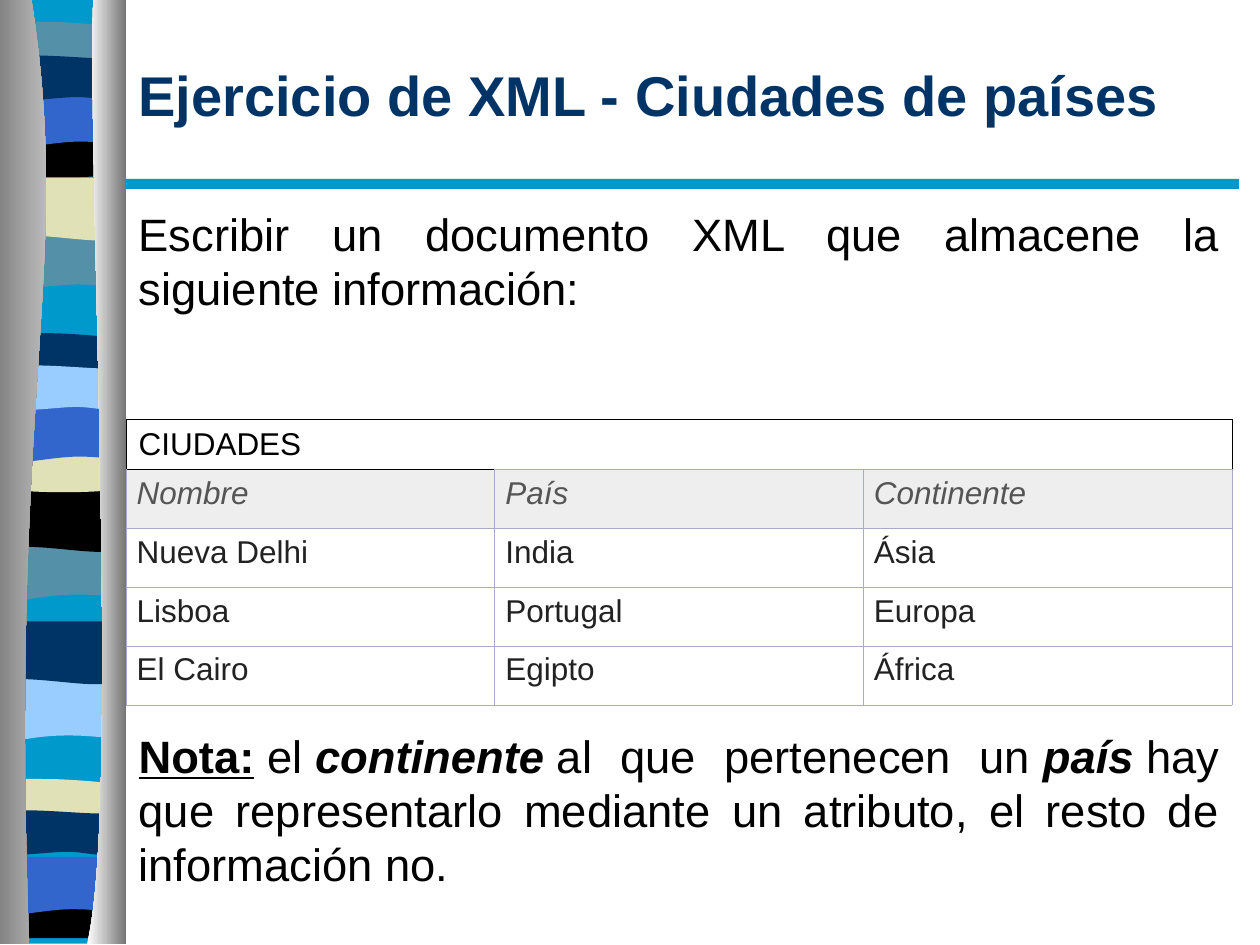
"""Build the XML exercise slide about cities and countries."""
from itertools import islice

from lxml.etree import SubElement
from pptx import Presentation
from pptx.dml.color import RGBColor
from pptx.enum.shapes import MSO_SHAPE
from pptx.enum.text import MSO_ANCHOR, MSO_AUTO_SIZE, PP_ALIGN
from pptx.oxml.ns import qn
from pptx.util import Pt

COLORS = {
    "sky": "0099CC", "steel": "5490A8", "sand": "E1E1B7", "black": "000000",
    "blue": "3366CC", "navy": "003366", "pale": "99CCFF", "gray": "767676",
    "silver": "DCDCDC", "white": "FFFFFF", "border": "AAAACC",
    "heading_fill": "EEEEEE", "heading_text": "555555", "cell_text": "222222",
}
OUTLINES = {
    "dip": [(68, 0), (68, 34), (21, 28, 12, 40, 0, 34), (0, 0)],
    "rise": [(68, 0), (68, 34), (57, 40, 21, 30, 0, 34), (0, 0)],
    "hump": [(68, 4), (68, 21), (57, 24, 12, 24, 0, 21), (0, 4),
             (4, 0, 15, 1, 27, 1), (38, 1, 60, 3, 68, 4)],
    "sag": [(68, 0), (68, 24), (57, 27, 12, 27, 0, 24), (0, 0),
            (42, 4, 54, 0, 68, 0)],
    "slab": [(68, 0), (68, 27), (0, 27), (0, 0), (42, 4, 54, 0, 68, 0)],
    "arch": [(68, 0), (68, 34), (58, 30, 53, 30, 42, 30),
             (31, 30, 11, 34, 0, 34), (0, 0)],
    "swell": [(68, 4), (68, 26), (64, 30, 54, 26, 42, 26),
              (31, 26, 7, 30, 0, 26), (0, 4), (10, 0, 47, 4, 58, 4), (68, 4)],
    "left_drape": [(18, 0), (42, 156, 5, 213, 16.6, 539.3), (-6.5, 539.3), (-7, 0)],
    "right_drape": [(53.3, 0), (49.7, 90, 69, 465, 49.7, 539.3), (72, 539.3), (72, 0)],
}
BANDS = [
    ("dip", 2, 130.3, "steel"), ("rise", 2, 101.5, "sand"),
    ("hump", 2, 11.5, "steel"), ("sag", 2, 75, "black"),
    ("arch", 2, 51, "blue"), ("swell", 2, 29.5, "navy"),
    ("dip", 1.5, 307.5, "steel"), ("rise", 1.5, 279.4, "black"),
    ("hump", 1.5, 189.4, "navy"), ("sag", 2, 255, "sand"),
    ("arch", 1.5, 231, "blue"), ("swell", 1.5, 206.6, "pale"),
    ("dip", -4, 388, "pale"), ("rise", -1.5, 355, "navy"),
    ("hump", 1.5, 444.2, "sand"), ("slab", -2, 509, "black"),
    ("arch", -2, 489.6, "blue"), ("swell", -4, 460.8, "navy"),
]
ROWS = [
    ["Nombre", "País", "Continente"],
    ["Nueva Delhi", "India", "Ásia"],
    ["Lisboa", "Portugal", "Europa"],
    ["El Cairo", "Egipto", "África"],
]
HARD_SPACE = chr(160)
INTRO = [("Escribir un documento XML que almacene la siguiente información:", {})]
STRONG = {"bold": True, "italic": True}
NOTE = [
    ("Nota:", {"bold": True, "underline": True}),
    (f"{HARD_SPACE}el{HARD_SPACE}", {}),
    ("continente", STRONG),
    (f"{HARD_SPACE}al que pertenecen un{HARD_SPACE}", {}),
    ("país", STRONG),
    (f"{HARD_SPACE}hay que representarlo mediante un atributo, "
     "el resto de información no.", {}),
]


def color(name):
    """Return the named colour."""
    return RGBColor.from_string(COLORS[name])


def set_values(target, values):
    """Set each named attribute of the target."""
    for name, value in values.items():
        setattr(target, name, value)


def add_run(paragraph, text, size, color_name, **values):
    """Add a run of Arial text."""
    run = paragraph.add_run()
    run.text = text
    set_values(run.font, {"name": "Arial", "size": Pt(size), **values})
    run.font.color.rgb = color(color_name)


def place(shape, box):
    """Move a shape to its box."""
    names = ("left", "top", "width", "height")
    set_values(shape, {name: Pt(value) for name, value in zip(names, box)})


def bend(shape, segments):
    """Turn each three-point segment of the outline into a cubic curve."""
    outline = shape._element.find(".//" + qn("a:path"))
    lines = iter(outline.findall(qn("a:lnTo")))
    for segment in segments:
        group = list(islice(lines, len(segment) // 2))
        if len(group) == 3:
            curve = SubElement(outline, qn("a:cubicBezTo"))
            group[0].addprevious(curve)
            for line in group:
                curve.append(line[0])
                outline.remove(line)


def add_outline(slide, name, left, top):
    """Add a closed outline without a line, offset to its place."""
    segments = OUTLINES[name]
    points = [(Pt(left + x), Pt(top + y)) for segment in segments
              for x, y in zip(segment[::2], segment[1::2])]
    builder = slide.shapes.build_freeform(*points[0], scale=1.0)
    builder.add_line_segments(points[1:], close=True)
    shape = builder.convert_to_shape()
    bend(shape, segments[1:])
    shape.shadow.inherit = False
    shape.line.fill.background()
    return shape


def add_bar(slide, box):
    """Add a plain sky-blue rectangle."""
    shape = slide.shapes.add_shape(MSO_SHAPE.RECTANGLE, *map(Pt, box))
    shape.shadow.inherit = False
    shape.fill.solid()
    shape.fill.fore_color.rgb = color("sky")
    shape.line.fill.background()


def add_ribbon(slide, box):
    """Add the striped ribbon between two shaded drapes."""
    left, top, width, height = box
    add_bar(slide, (left + 2, top, width - 4, height))
    for outline, x, y, fill in BANDS:
        shape = add_outline(slide, outline, left + x, top + y)
        shape.fill.solid()
        shape.fill.fore_color.rgb = color(fill)
    for outline, shades in (("left_drape", ("gray", "silver")),
                            ("right_drape", ("white", "gray"))):
        shape = add_outline(slide, outline, left, top)
        shape.fill.gradient()
        shape.fill.gradient_angle = 0
        for stop, shade in zip(shape.fill.gradient_stops, shades):
            stop.color.rgb = color(shade)


def fill_title(title, box):
    """Place and write the title."""
    place(title, box)
    set_values(title.text_frame, {"vertical_anchor": MSO_ANCHOR.MIDDLE,
                                  "auto_size": MSO_AUTO_SIZE.NONE, "word_wrap": True})
    paragraph = title.text_frame.paragraphs[0]
    paragraph.alignment = PP_ALIGN.LEFT
    add_run(paragraph, "Ejercicio de XML - Ciudades de países", 32, "navy", bold=True)


def fill_body(body, box):
    """Place the body and write the task above and the note below the table."""
    place(body, box)
    frame = body.text_frame
    set_values(frame, {"vertical_anchor": MSO_ANCHOR.TOP, "word_wrap": True,
                       "auto_size": MSO_AUTO_SIZE.NONE, "margin_top": Pt(3.8)})
    for paragraph, runs, space in ((frame.paragraphs[0], INTRO, 0),
                                   (frame.add_paragraph(), NOTE, 236)):
        set_values(paragraph, {"alignment": PP_ALIGN.JUSTIFY, "line_spacing": 1.0,
                               "space_before": Pt(space)})
        properties = paragraph._p.get_or_add_pPr()
        properties.set("marL", "0")
        properties.set("indent", "0")
        SubElement(properties, qn("a:buNone"))
        for text, values in runs:
            add_run(paragraph, text, 25.9, "black", **values)


def set_borders(cell, sides):
    """Draw the cell borders in the named colours."""
    properties = cell._tc.get_or_add_tcPr()
    for side in "LRTB":
        line = SubElement(properties, qn(f"a:ln{side}"), w=str(Pt(0.45)))
        fill = SubElement(line, qn("a:solidFill"))
        SubElement(fill, qn("a:srgbClr"), val=COLORS[sides.get(side, "border")])


def write_cell(cell, text, color_name, margin, **values):
    """Write a cell and set its margins."""
    set_values(cell, {"margin_left": Pt(margin), "margin_right": Pt(margin),
                      "margin_top": Pt(3.6), "margin_bottom": Pt(3.6)})
    add_run(cell.text_frame.paragraphs[0], text, 18, color_name, **values)


def add_cities(slide, box):
    """Add the table of cities under a merged heading."""
    table = slide.shapes.add_table(len(ROWS) + 1, 3, *map(Pt, box)).table
    set_values(table, {"first_row": False, "horz_banding": False})
    heights = [28.6] + [33.65] * len(ROWS)
    for row, height in zip(table.rows, heights):
        row.height = Pt(height)
    for column in range(3):
        set_borders(table.cell(0, column), {"L": "black", "T": "black", "R": "black"})
        table.cell(0, column).fill.background()
    heading = table.cell(0, 0)
    heading.merge(table.cell(0, 2))
    heading.vertical_anchor = MSO_ANCHOR.MIDDLE
    write_cell(heading, "CIUDADES", "black", 7.2)
    for row, texts in enumerate(ROWS, 1):
        for column, text in enumerate(texts):
            cell = table.cell(row, column)
            set_borders(cell, {"T": "black"} if (row, column) == (1, 0) else {})
            if row == 1:
                cell.fill.solid()
                cell.fill.fore_color.rgb = color("heading_fill")
                write_cell(cell, text, "heading_text", 6.1, italic=True)
            else:
                cell.fill.background()
                write_cell(cell, text, "cell_text", 6.1)


def main():
    """Build and save the presentation."""
    presentation = Presentation()
    set_values(presentation, {"slide_width": Pt(720), "slide_height": Pt(540)})
    slide = presentation.slides.add_slide(presentation.slide_layouts[1])
    add_ribbon(slide, (0, 0, 72, 539.3))
    add_bar(slide, (72, 102.2, 636, 5.8))
    fill_title(slide.shapes.title, (72, 8.6, 632, 90))
    fill_body(slide.placeholders[1], (72, 113.8, 632, 414))
    add_cities(slide, (72, 239.7, 632, 163.2))
    presentation.save("out.pptx")


if __name__ == "__main__":
    main()
